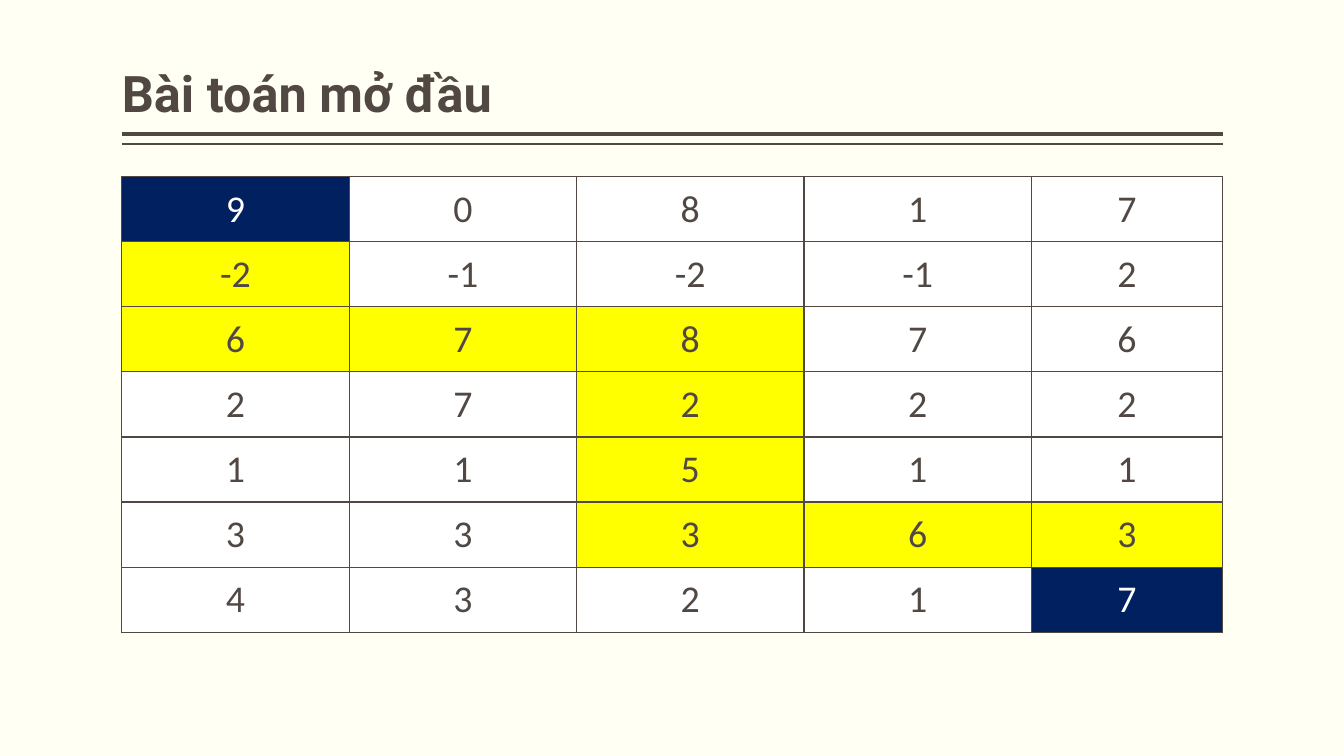
from collections import namedtuple

from lxml.etree import SubElement
from pptx import Presentation
from pptx.dml.color import RGBColor
from pptx.enum.shapes import MSO_CONNECTOR
from pptx.enum.text import MSO_ANCHOR, MSO_AUTO_SIZE, PP_ALIGN
from pptx.oxml.ns import qn
from pptx.util import Cm, Pt

Box = namedtuple("Box", "left top width height")

COLORS = {
    "background": "FFFFF3",
    "ink": "514843",
    "plain": "FFFFFF",
    "path": "FFFF00",
    "end": "002060",
}
NUMBERS = [
    [9, 0, 8, 1, 7],
    [-2, -1, -2, -1, 2],
    [6, 7, 8, 7, 6],
    [2, 7, 2, 2, 2],
    [1, 1, 5, 1, 1],
    [3, 3, 3, 6, 3],
    [4, 3, 2, 1, 7],
]
ENDS = {(0, 0), (6, 4)}
PATH = {(1, 0), (2, 0), (2, 1), (2, 2), (3, 2), (4, 2), (5, 2), (5, 3), (5, 4)}


def color(name):
    """Return the named colour."""
    return RGBColor.from_string(COLORS[name])


def add_span(para, text, font, size, ink, bold=False):
    """Add one formatted run to a paragraph."""
    span = para.add_run()
    span.text = text
    span.font.name = font
    span.font.size = Pt(size)
    span.font.bold = bold
    span.font.color.rgb = color(ink)


def add_heading(page, box, text):
    """Set the title in the box, with a thick and a thin rule below it."""
    title = page.shapes.title
    title.left, title.top, title.width, title.height = box
    frame = title.text_frame
    frame.margin_left = frame.margin_right = 0
    frame.margin_top = frame.margin_bottom = Cm(0.13)
    frame.vertical_anchor = MSO_ANCHOR.BOTTOM
    frame.auto_size = MSO_AUTO_SIZE.NONE
    frame.word_wrap = True
    para = frame.paragraphs[0]
    para.alignment = PP_ALIGN.LEFT
    para.line_spacing = 0.9
    add_span(para, text, "Roboto", 36, "ink", bold=True)

    for gap, weight in ((0.13, 3), (0.38, 1)):
        height = box.top + box.height + Cm(gap)
        rule = page.shapes.add_connector(
            MSO_CONNECTOR.STRAIGHT, box.left, height, box.left + box.width, height
        )
        rule.line.color.rgb = color("ink")
        rule.line.width = Pt(weight)
        SubElement(rule._element.spPr, qn("a:effectLst"))


def add_borders(cell):
    """Draw a thin line on all four sides of a cell."""
    properties = cell._tc.get_or_add_tcPr()
    for side in ("a:lnL", "a:lnR", "a:lnT", "a:lnB"):
        line = SubElement(properties, qn(side), w=str(Pt(1)))
        fill = SubElement(line, qn("a:solidFill"))
        SubElement(fill, qn("a:srgbClr"), val=COLORS["ink"])


def add_number_grid(page, box, numbers):
    """Fill the box with the number table and mark the path through it."""
    rows, columns = len(numbers), len(numbers[0])
    table = page.shapes.add_table(rows, columns, *box).table
    table.first_row = table.horz_banding = False
    wide = Cm(5.73)
    for column in table.columns:
        column.width = wide
    table.columns[columns - 1].width = box.width - wide * (columns - 1)

    for row, values in enumerate(numbers):
        table.rows[row].height = box.height // rows
        for column, value in enumerate(values):
            place = (row, column)
            fill = "end" if place in ENDS else "path" if place in PATH else "plain"
            cell = table.cell(row, column)
            add_borders(cell)
            cell.fill.solid()
            cell.fill.fore_color.rgb = color(fill)
            cell.vertical_anchor = MSO_ANCHOR.MIDDLE
            para = cell.text_frame.paragraphs[0]
            para.alignment = PP_ALIGN.CENTER
            ink = "plain" if fill == "end" else "ink"
            add_span(para, str(value), "Calibri", 27, ink)


def main():
    """Build and save the deck."""
    deck = Presentation()
    deck.slide_width, deck.slide_height = Cm(33.87), Cm(19.05)
    page = deck.slides.add_slide(deck.slide_layouts[5])
    page.background.fill.solid()
    page.background.fill.fore_color.rgb = color("background")
    left, width = Cm(3.07), Cm(27.74)
    add_heading(page, Box(left, Cm(0.2), width, Cm(3.05)), "Bài toán mở đầu")
    add_number_grid(page, Box(left, Cm(4.45), width, Cm(11.48)), NUMBERS)
    deck.save("out.pptx")


if __name__ == "__main__":
    main()
